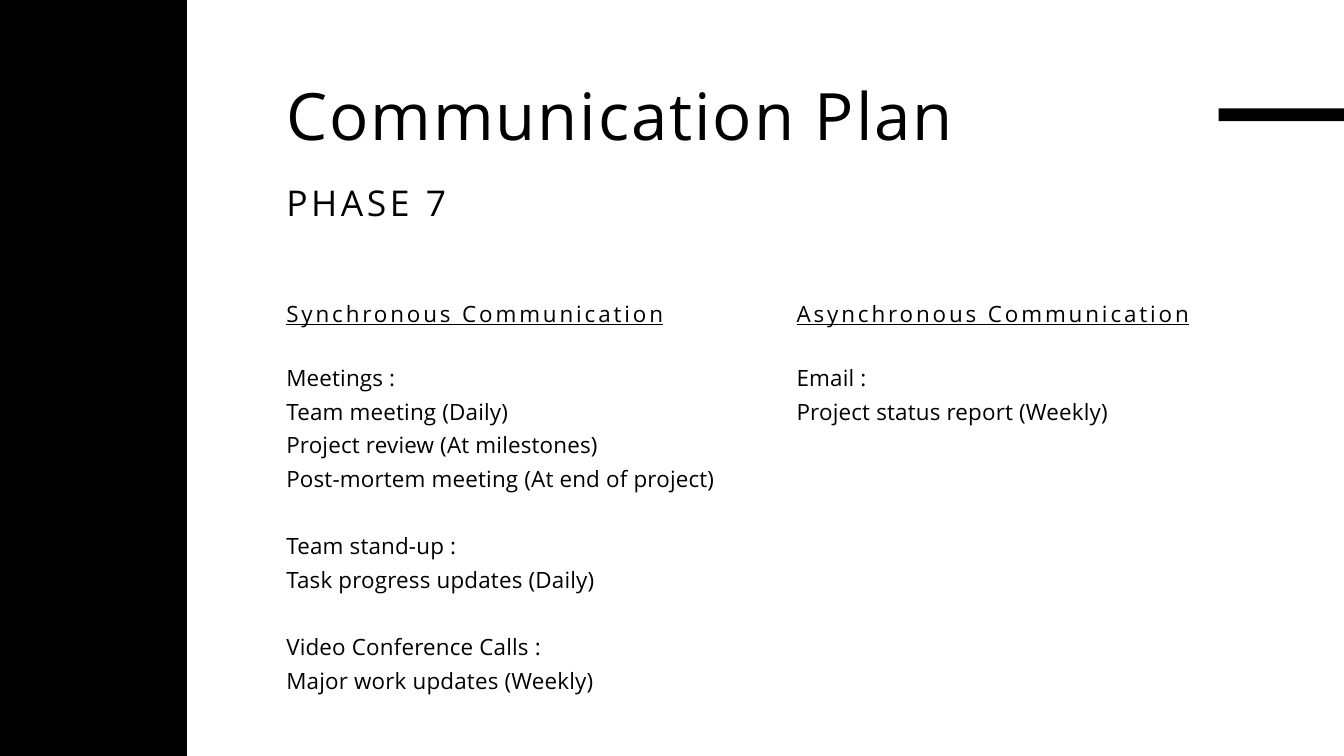
import pptx
import pptx.dml.color
import pptx.enum.shapes
import pptx.util

PX = 9525
BLACK = "000000"


def color(hex_string):
    return pptx.dml.color.RGBColor.from_string(hex_string)


def add_text(box, groups, size, line_height, tracking, underline=False):
    left, top, width, height = [value * PX for value in box]
    frame = slide.shapes.add_textbox(left, top, width, height).text_frame
    frame.margin_left = frame.margin_right = 0
    frame.margin_top = frame.margin_bottom = 0
    frame.word_wrap = True
    paragraph = frame.paragraphs[0]
    for group_index, lines in enumerate(groups):
        for line_index, line in enumerate(lines):
            if group_index or line_index:
                paragraph = frame.add_paragraph()
            if group_index and not line_index:
                paragraph.space_before = pptx.util.Pt(line_height)
            paragraph.text = line
            paragraph.line_spacing = pptx.util.Pt(line_height)
            font = paragraph.font
            font.name = "Open Sans"
            font.size = pptx.util.Pt(size)
            font.underline = underline
            font.color.rgb = color(BLACK)
            font._element.set("spc", str(tracking))


presentation = pptx.Presentation()
presentation.slide_width = 1920 * PX
presentation.slide_height = 1080 * PX
slide = presentation.slides.add_slide(presentation.slide_layouts[6])
slide.background.fill.solid()
slide.background.fill.fore_color.rgb = color("FFFFFF")

side_band = (-47, -47, 314, 1174)
title_bar = (1741, 155, 234, 18)
for bar in (side_band, title_bar):
    shape = slide.shapes.add_shape(
        pptx.enum.shapes.MSO_SHAPE.RECTANGLE, *[value * PX for value in bar]
    )
    shape.shadow.inherit = False
    shape.fill.solid()
    shape.fill.fore_color.rgb = color(BLACK)
    shape.line.fill.background()

add_text((409, 108, 1312, 111), [["Communication Plan"]], 70, 84, 210)
add_text((409, 259, 1312, 60), [["PHASE 7"]], 38, 45.6, 380)

columns = [
    (409, 475, "Synchronous Communication", [
        ["Meetings :", "Team meeting (Daily)", "Project review (At milestones)",
         "Post-mortem meeting (At end of project)"],
        ["Team stand-up :", "Task progress updates (Daily)"],
        ["Video Conference Calls :", "Major work updates (Weekly)"],
    ]),
    (1138, 91, "Asynchronous Communication", [
        ["Email :", "Project status report (Weekly)"],
    ]),
]
for left, height, heading, groups in columns:
    add_text((left, 419, 674, 93), [[heading]], 24, 36, 310, underline=True)
    add_text((left, 511, 674, height), groups, 24, 36, 20)

presentation.save("out.pptx")
